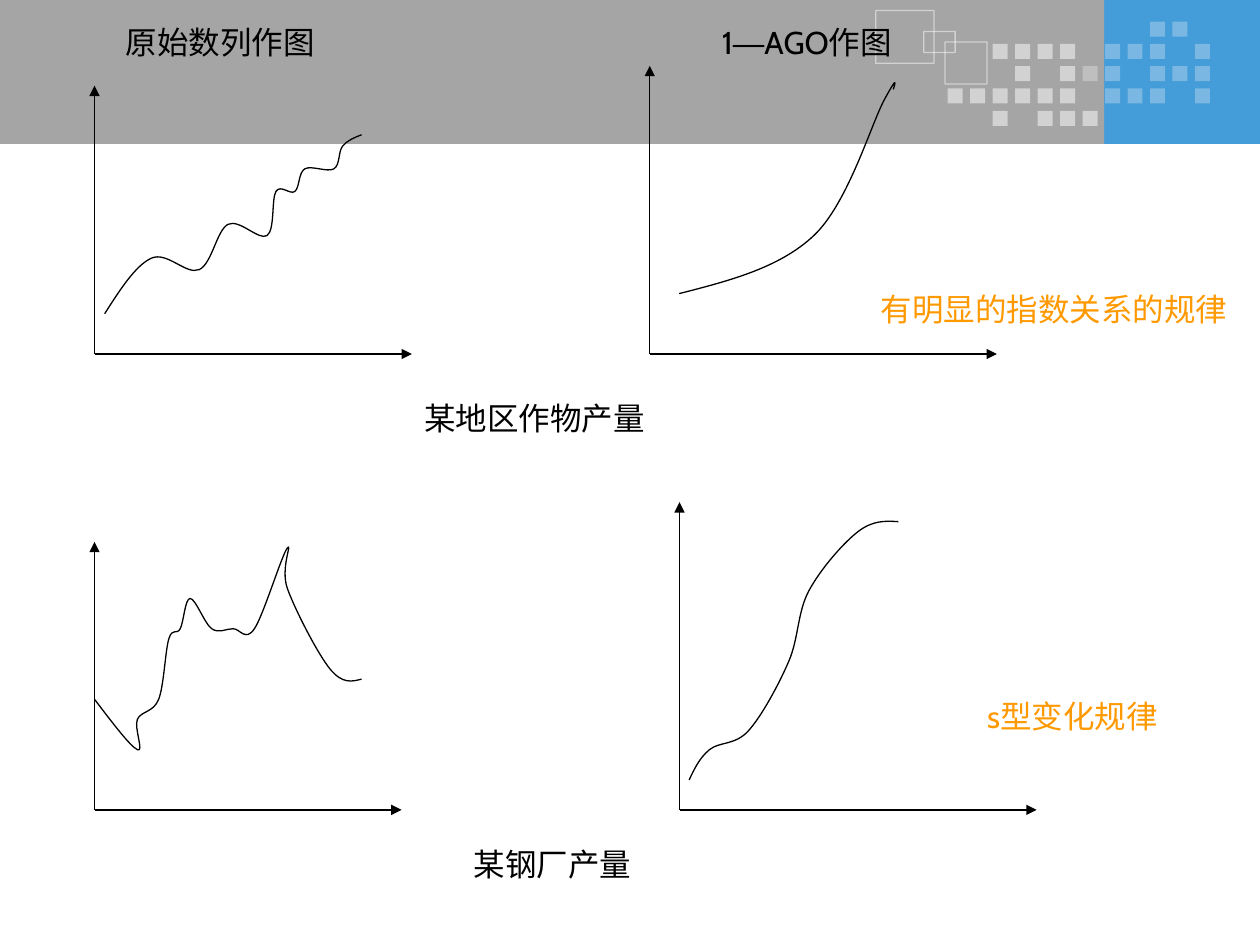
from lxml import etree
from pptx import Presentation
from pptx import util as u
from pptx.dml.color import RGBColor
from pptx.enum import shapes, text
from pptx.oxml.ns import qn

# Content; all lengths in points
COLORS = {"blue": "449CD8", "gray": "A5A5A5", "white": "FFFFFF",
          "ink": "000000", "orange": "FF9900"}
LINE_WIDTH = 0.75

BANDS = [((630.9, 0, 89.1, 82.2), "blue"), ((0, 0, 630.9, 82.2), "gray")]
FRAMES = [(500.4, 6, 33.4, 30.2), (527.8, 18, 18, 12), (540, 24, 24, 24)]

# Header mosaic: "#" is a half-opaque tile, "o" a fainter one
MOSAIC = [".........oo.",
          "..####.ooo.o",
          "...#.#oo.ooo",
          "######.ooo.o",
          "..#.###....."]
TILE_ALPHA = {"#": 50, "o": 29}
MOSAIC_LEFT, MOSAIC_TOP, TILE = 541.5, 12.3, 8.6
COLUMN_STEP, ROW_STEP = 12.85, 12.75

# Each plot: axis origin, right end, top end, knots of its curve
PLOTS = [
    {"origin": (54, 202.3), "right": 235.4, "top": 49,
     "knots": [(59.8, 179.3), (86.4, 147.6), (113.8, 154.1), (130.3, 128.2),
               (152.6, 134.6), (157.7, 109.4), (168.5, 109.4), (174.2, 96.5),
               (190.8, 96.5), (195.8, 83.5), (206.6, 77)]},
    {"origin": (371.3, 202.3), "right": 569.7, "top": 37.6,
     "knots": [(388.1, 167.8), (465.1, 134.6), (505.4, 56.9), (510.5, 51.1)]},
    {"origin": (54, 462.8), "right": 229.5, "top": 309.6,
     "knots": [(54, 399.6), (78.5, 428.4), (78.5, 411.1), (90.7, 399.6),
               (96.5, 365), (103, 359.3), (108.7, 342), (121, 359.3),
               (133.2, 359.3), (145.4, 359.3), (164.2, 313.2),
               (164.2, 336.2), (188.6, 382.3), (206.6, 388.1)]},
    {"origin": (388.3, 462.8), "right": 592.4, "top": 287,
     "knots": [(393.8, 445.7), (405.4, 428.4), (427.7, 417.6), (450.7, 378),
               (462.2, 337.7), (490.3, 303.8), (513.4, 298.1)]},
]

# Labels: left, top, width, wrap, colour, (text, font) runs
LABEL_HEIGHT = 28.8
LABELS = [
    (64.8, 9.4, 128.2, True, "ink", [("原始数列作图", "Cabin")]),
    (405.4, 9.4, 119.5, False, "ink",
     [("1", "Cabin"), ("—", "Arial"), ("AGO作图", "Cabin")]),
    (496.1, 162, 218.2, True, "orange", [("有明显的指数关系的规律", "Cabin")]),
    (263.5, 479.5, 104.4, True, "ink", [("某钢厂产量", "Cabin")]),
    (235.4, 224.6, 140.4, False, "ink", [("某地区作物产量", "Cabin")]),
    (553, 394.6, 123.8, False, "orange", [(" s型变化规律", "Cabin")]),
]


def rgb(name):
    return RGBColor.from_string(COLORS[name])


def pts(values):
    return [u.Pt(value) for value in values]


def set_attributes(target, values):
    for key, value in values.items():
        setattr(target, key, value)


def add_box(parent, box, fill=None, line=None, alpha=100):
    box_shape = parent.add_shape(shapes.MSO_SHAPE.RECTANGLE, *pts(box))
    box_shape.shadow.inherit = False
    if fill:
        box_shape.fill.solid()
        box_shape.fill.fore_color.rgb = rgb(fill)
    else:
        box_shape.fill.background()
    if line:
        box_shape.line.color.rgb = rgb(line)
        box_shape.line.width = u.Pt(LINE_WIDTH)
    else:
        box_shape.line.fill.background()
    if alpha < 100:
        for color in box_shape._element.spPr.iter(qn("a:srgbClr")):
            etree.SubElement(color, qn("a:alpha"), val=str(alpha * 1000))


def add_axis(parent, start, end):
    axis = parent.add_connector(shapes.MSO_CONNECTOR.STRAIGHT,
                                *pts(start + end))
    axis.line.color.rgb = rgb("ink")
    axis.line.width = u.Pt(LINE_WIDTH)
    etree.SubElement(axis.line._get_or_add_ln(), qn("a:tailEnd"),
                     type="triangle")
    etree.SubElement(axis._element.spPr, qn("a:effectLst"))


def midpoint(a, b):
    return (a[0] + b[0]) / 2, (a[1] + b[1]) / 2


def bezier_points(knots):
    """Smooth spline: each inner tangent is parallel to its neighbours' chord."""
    before, after = {}, {}
    for i in range(1, len(knots) - 1):
        (x0, y0), (x, y), (x1, y1) = knots[i - 1:i + 2]
        dx, dy = (x1 - x0) / 6, (y1 - y0) / 6
        before[i], after[i] = (x - dx, y - dy), (x + dx, y + dy)
    last = len(knots) - 1
    after[0] = midpoint(knots[0], before[1])
    before[last] = midpoint(knots[last], after[last - 1])
    return [point for i in range(last)
            for point in (after[i], before[i + 1], knots[i + 1])]


def add_curve(parent, knots):
    builder = parent.build_freeform(*pts(knots[0]), scale=1.0)
    builder.add_line_segments([pts(p) for p in bezier_points(knots)],
                              close=False)
    curve = builder.convert_to_shape()
    curve.shadow.inherit = False
    curve.fill.background()
    curve.line.color.rgb = rgb("ink")
    curve.line.width = u.Pt(LINE_WIDTH)
    # Join every three segments into one cubic
    segments = list(curve._element.iter(qn("a:lnTo")))
    for i in range(0, len(segments), 3):
        cubic = etree.Element(qn("a:cubicBezTo"))
        segments[i].addprevious(cubic)
        for segment in segments[i:i + 3]:
            cubic.append(segment[0])
            segment.getparent().remove(segment)


def add_label(parent, left, top, width, wrap, color, runs):
    label = parent.add_textbox(*pts((left, top, width, LABEL_HEIGHT)))
    set_attributes(label.text_frame, {
        "word_wrap": wrap,
        "auto_size": text.MSO_AUTO_SIZE.SHAPE_TO_FIT_TEXT,
        "vertical_anchor": text.MSO_ANCHOR.MIDDLE})
    for words, font in runs:
        run = label.text_frame.paragraphs[0].add_run()
        run.text = words
        set_attributes(run.font, {"name": font, "size": u.Pt(18)})
        run.font.color.rgb = rgb(color)


def main():
    deck = Presentation()
    set_attributes(deck, {"slide_width": u.Pt(720), "slide_height": u.Pt(540)})
    parts = deck.slides.add_slide(deck.slide_layouts[6]).shapes

    # Header
    for box, fill in BANDS:
        add_box(parts, box, fill=fill)
    mosaic = parts.add_group_shape().shapes
    for row, tiles in enumerate(MOSAIC):
        for column, mark in enumerate(tiles):
            if mark in TILE_ALPHA:
                add_box(mosaic, (MOSAIC_LEFT + column * COLUMN_STEP,
                                 MOSAIC_TOP + row * ROW_STEP, TILE, TILE),
                        fill="white", alpha=TILE_ALPHA[mark])
    for frame in FRAMES:
        add_box(parts, frame, line="white", alpha=50)

    # Plots
    for plot in PLOTS:
        x, y = plot["origin"]
        add_axis(parts, (x, y), (plot["right"], y))
        add_axis(parts, (x, y), (x, plot["top"]))
        add_curve(parts, plot["knots"])

    # Labels
    for label in LABELS:
        add_label(parts, *label)
    deck.save("out.pptx")


if __name__ == "__main__":
    main()
